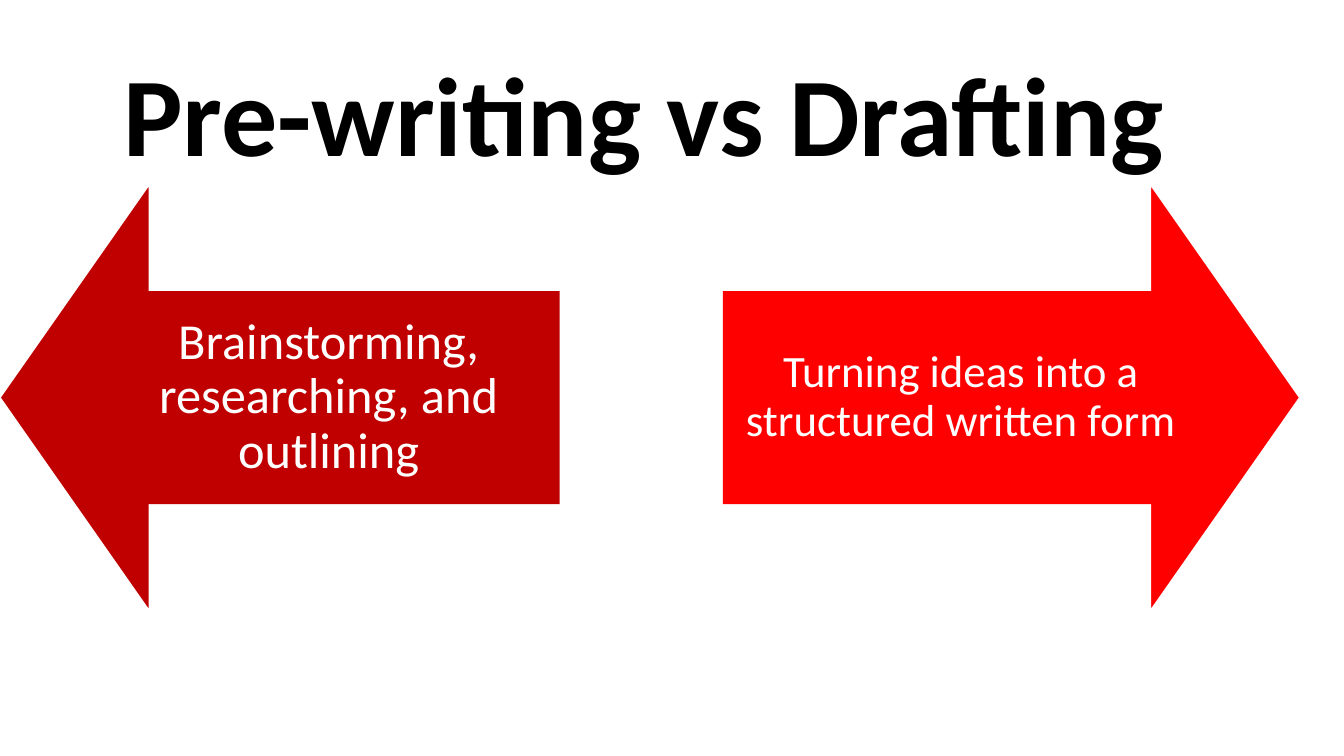
from dataclasses import dataclass

import pptx
import pptx.dml.color
import pptx.enum.shapes
import pptx.enum.text
import pptx.util

Inches = pptx.util.Inches
Pt = pptx.util.Pt
Shape = pptx.enum.shapes.MSO_SHAPE
Anchor = pptx.enum.text.MSO_ANCHOR
Align = pptx.enum.text.PP_ALIGN


def color(code):
    return pptx.dml.color.RGBColor.from_string(code)


@dataclass(frozen=True)
class Theme:
    font: str = "Calibri"
    ink = color("000000")
    white = color("FFFFFF")
    dark_red = color("C00000")
    red = color("FF0000")
    title_size = Pt(80)
    prewriting_size = Pt(36)
    drafting_size = Pt(32)


THEME = Theme()
ARROW_TOP, ARROW_HEIGHT = 1.83, 4.23
SHAFT_SHARE, HEAD_SHARE = 0.5, 0.35


def add_span(para, text, size, ink, bold=False):
    span = para.add_run()
    span.text = text
    span.font.name = THEME.font
    span.font.size = size
    span.font.bold = bold
    span.font.color.rgb = ink


def add_title(page, text):
    title = page.shapes.title
    title.left, title.top = Inches(1.12), Inches(0.38)
    title.width, title.height = Inches(11.11), Inches(1.45)
    frame = title.text_frame
    frame.word_wrap = True
    frame.auto_size = pptx.enum.text.MSO_AUTO_SIZE.NONE
    frame.vertical_anchor = Anchor.MIDDLE
    para = frame.paragraphs[0]
    para.alignment = Align.LEFT
    add_span(para, text, THEME.title_size, THEME.ink, bold=True)


def add_filled_shape(page, kind, left, top, width, height, fill):
    shape = page.shapes.add_shape(
        kind, Inches(left), Inches(top), Inches(width), Inches(height))
    shape.shadow.inherit = False
    shape.fill.solid()
    shape.fill.fore_color.rgb = fill
    shape.line.fill.background()
    return shape


def add_arrow(page, kind, left, width, fill):
    arrow = add_filled_shape(
        page, kind, left, ARROW_TOP, width, ARROW_HEIGHT, fill)
    arrow.adjustments[0] = SHAFT_SHARE
    arrow.adjustments[1] = HEAD_SHARE
    arrow.line.color.rgb = THEME.white
    arrow.line.width = Pt(1)


def add_label(page, text, left, width, fill, size, inset):
    """Cover the arrow shaft with a text panel of the same height."""
    height = ARROW_HEIGHT * SHAFT_SHARE
    top = ARROW_TOP + (ARROW_HEIGHT - height) / 2
    label = add_filled_shape(
        page, Shape.RECTANGLE, left, top, width, height, fill)
    frame = label.text_frame
    frame.word_wrap = True
    frame.vertical_anchor = Anchor.MIDDLE
    frame.margin_left = frame.margin_right = Inches(inset)
    frame.margin_top = frame.margin_bottom = Inches(inset)
    para = frame.paragraphs[0]
    para.alignment = Align.CENTER
    para.line_spacing = 0.9
    add_span(para, text, size, THEME.white)


def main():
    deck = pptx.Presentation()
    deck.slide_width, deck.slide_height = Inches(13.33), Inches(7.5)
    page = deck.slides.add_slide(deck.slide_layouts.get_by_name("Title Only"))
    add_title(page, "Pre-writing vs Drafting")

    add_arrow(page, Shape.LEFT_ARROW, 0, 5.55, THEME.dark_red)
    add_label(page, "Brainstorming, researching, and outlining",
              0.97, 4.58, THEME.dark_red, THEME.prewriting_size, 0.22)

    add_arrow(page, Shape.RIGHT_ARROW, 7.17, 5.72, THEME.red)
    add_label(page, "Turning ideas into a structured written form",
              7.17, 4.72, THEME.red, THEME.drafting_size, 0.19)

    deck.save("out.pptx")


if __name__ == "__main__":
    main()
